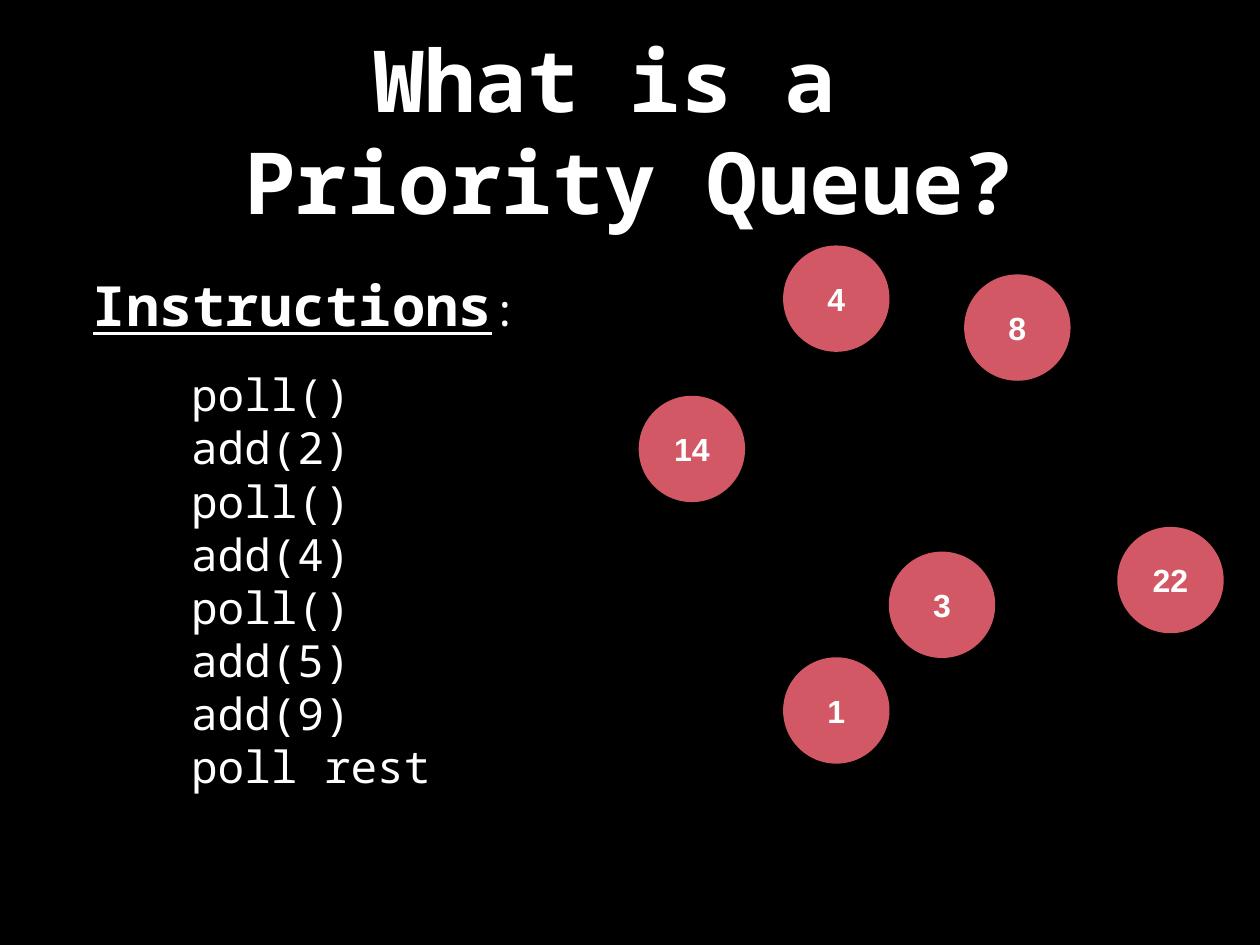
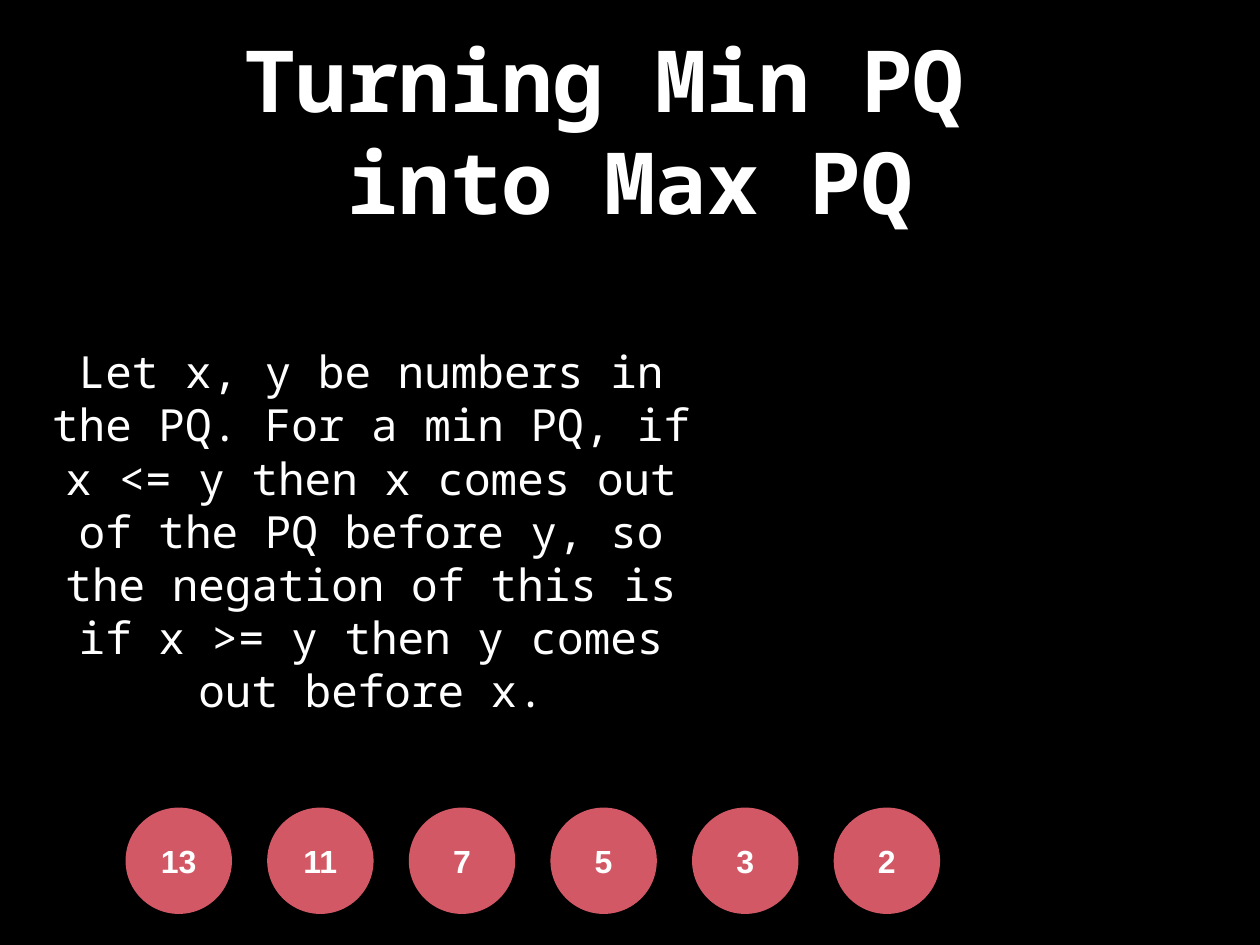
from pptx import Presentation
from pptx.dml.color import RGBColor
from pptx.enum.shapes import MSO_SHAPE
from pptx.enum.text import MSO_ANCHOR, PP_ALIGN
from pptx.util import Cm, Pt

BLACK = RGBColor(0x00, 0x00, 0x00)
WHITE = RGBColor(0xFF, 0xFF, 0xFF)
RED = RGBColor(0xD3, 0x58, 0x66)
MONO = "Noto Sans Mono"
SANS = "Arial"
INSET = Cm(0.15)
DIAMETER = 3.05


def add_run(p, text, size=36, font=MONO, bold=False, underline=False):
    """Append a white run to a paragraph with the given format."""
    r = p.add_run()
    r.text = text
    r.font.size = Pt(size)
    r.font.name = font
    r.font.bold = bold
    r.font.underline = underline
    r.font.color.rgb = WHITE


class Deck:
    """Hold the shared style and the current slide."""

    def __init__(self):
        self.prs = Presentation()
        self.prs.slide_width = Cm(36.12)
        self.prs.slide_height = Cm(27.1)
        self.slide = None

    def add_slide(self, *title_lines):
        """Start a black slide with a centred bold title."""
        self.slide = self.prs.slides.add_slide(self.prs.slide_layouts[6])
        fill = self.slide.background.fill
        fill.solid()
        fill.fore_color.rgb = BLACK
        lines = [[(line, dict(size=69.6, bold=True))] for line in title_lines]
        self.text(lines, 2.64, 0.71, 30.84, 5.99)

    def fill_frame(self, tf, lines, align):
        """Write lines, each a list of (text, format) runs, into a frame."""
        tf.word_wrap = True
        tf.vertical_anchor = MSO_ANCHOR.MIDDLE
        tf.margin_left = tf.margin_right = INSET
        tf.margin_top = tf.margin_bottom = INSET
        for i, runs in enumerate(lines):
            p = tf.add_paragraph() if i else tf.paragraphs[0]
            p.alignment = align
            for text, style in runs:
                add_run(p, text, **style)

    def text(self, lines, left, top, width, height, align=PP_ALIGN.CENTER):
        """Add a text box."""
        sp = self.slide.shapes.add_textbox(
            Cm(left), Cm(top), Cm(width), Cm(height))
        self.fill_frame(sp.text_frame, lines, align)

    def ball(self, number, left, top):
        """Add a numbered red circle."""
        sp = self.slide.shapes.add_shape(
            MSO_SHAPE.OVAL, Cm(left), Cm(top), Cm(DIAMETER), Cm(DIAMETER))
        sp.shadow.inherit = False
        sp.fill.solid()
        sp.fill.fore_color.rgb = RED
        sp.line.fill.background()
        style = dict(size=26, font=SANS, bold=True)
        self.fill_frame(sp.text_frame, [[(str(number), style)]],
                        PP_ALIGN.CENTER)


def queue_slide(deck):
    """Build the slide with loose balls and queue instructions."""
    deck.add_slide("What is a ", "Priority Queue?")
    balls = [(4, 22.45, 7.04), (8, 27.64, 7.87), (1, 22.45, 18.85),
             (14, 18.31, 11.35), (3, 25.48, 15.82), (22, 32.03, 15.11)]
    for number, left, top in balls:
        deck.ball(number, left, top)
    heading = [("Instructions", dict(size=45, bold=True, underline=True)),
               (":", {})]
    deck.text([heading], 2.26, 7.65, 13, 2.16)
    steps = ["poll()", "add(2)", "poll()", "add(4)",
             "poll()", "add(5)", "add(9)", "poll rest"]
    deck.text([[(step, {})] for step in steps],
              5.33, 9.98, 7.98, 13.31, align=PP_ALIGN.LEFT)


def max_slide(deck):
    """Build the slide on negating the comparison."""
    deck.add_slide("Turning Min PQ ", "into Max PQ")
    for i, number in enumerate([13, 11, 7, 5, 3, 2]):
        deck.ball(number, 3.6 + i * 4.06, 23.16)
    rule = ("Let x, y be numbers in the PQ. For a min PQ, if x <= y then x "
            "comes out of the PQ before y, so the negation of this is if "
            "x >= y then y comes out before x.")
    deck.text([[(rule, {})]], 1.14, 10.01, 19, 10.41)


def main():
    """Build and save the deck."""
    deck = Deck()
    queue_slide(deck)
    max_slide(deck)
    deck.prs.save("out.pptx")


if __name__ == "__main__":
    main()
